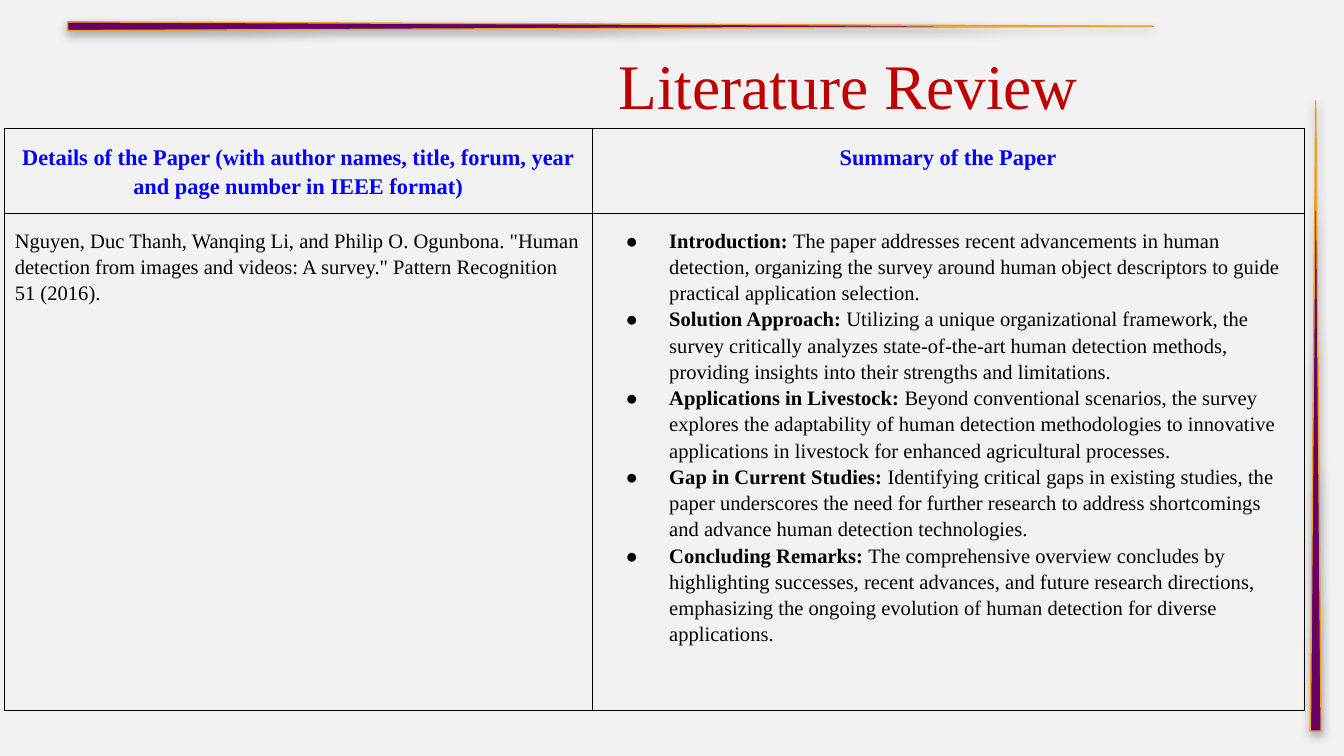
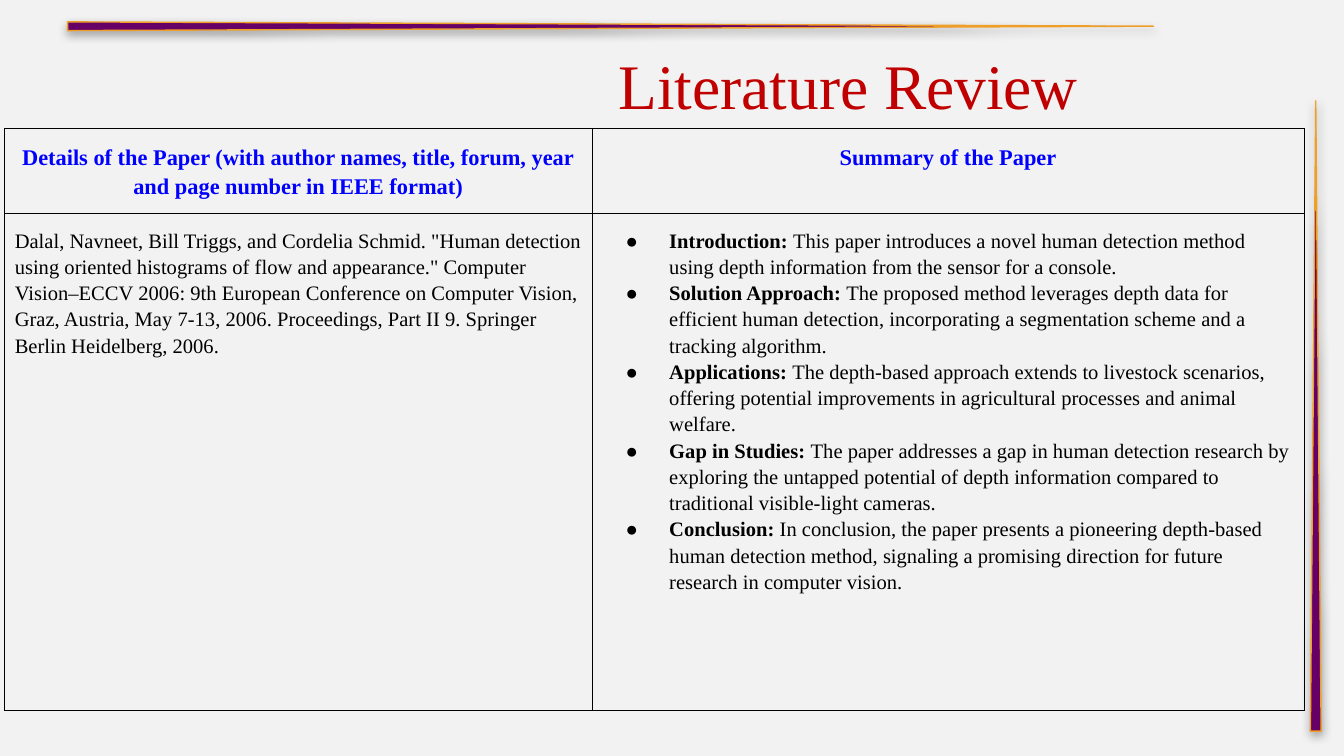
from lxml.etree import SubElement
from pptx import Presentation
from pptx.dml.color import RGBColor
from pptx.enum.shapes import MSO_SHAPE as SHAPE
from pptx.enum.text import MSO_ANCHOR as ANCHOR, PP_ALIGN as ALIGN
from pptx.oxml import parse_xml
from pptx.oxml.ns import nsdecls, qn
from pptx.util import Pt

PX = 4572
FONT = "Times New Roman"
PAPER, PURPLE, GOLD = "F2F2F2", "660066", "EF9F28"
RED, BLUE, BLACK = "C00000", "0000FF", "000000"
HEADINGS = [
    "Details of the Paper (with author names, title, forum, year and page number in IEEE format)",
    "Summary of the Paper",
]
REVIEWS = [
    (
        'Nguyen, Duc Thanh, Wanqing Li, and Philip O. Ogunbona. "Human detection from images '
        'and videos: A survey." Pattern Recognition 51 (2016).',
        [
            ("Introduction: ", "The paper addresses recent advancements in human detection, organizing "
             "the survey around human object descriptors to guide practical application selection."),
            ("Solution Approach: ", "Utilizing a unique organizational framework, the survey critically "
             "analyzes state-of-the-art human detection methods, providing insights into their strengths "
             "and limitations."),
            ("Applications in Livestock: ", "Beyond conventional scenarios, the survey explores the "
             "adaptability of human detection methodologies to innovative applications in livestock for "
             "enhanced agricultural processes."),
            ("Gap in Current Studies: ", "Identifying critical gaps in existing studies, the paper "
             "underscores the need for further research to address shortcomings and advance human "
             "detection technologies."),
            ("Concluding Remarks: ", "The comprehensive overview concludes by highlighting successes, "
             "recent advances, and future research directions, emphasizing the ongoing evolution of "
             "human detection for diverse applications."),
        ],
    ),
    (
        'Dalal, Navneet, Bill Triggs, and Cordelia Schmid. "Human detection using oriented histograms '
        'of flow and appearance." Computer Vision–ECCV 2006: 9th European Conference on Computer '
        "Vision, Graz, Austria, May 7-13, 2006. Proceedings, Part II 9. Springer Berlin Heidelberg, 2006.",
        [
            ("Introduction: ", "This paper introduces a novel human detection method using depth "
             "information from the sensor for a console."),
            ("Solution Approach: ", "The proposed method leverages depth data for efficient human "
             "detection, incorporating a segmentation scheme and a tracking algorithm."),
            ("Applications: ", "The depth-based approach extends to livestock scenarios, offering "
             "potential improvements in agricultural processes and animal welfare."),
            ("Gap in Studies: ", "The paper addresses a gap in human detection research by exploring the "
             "untapped potential of depth information compared to traditional visible-light cameras."),
            ("Conclusion: ", "In conclusion, the paper presents a pioneering depth-based human detection "
             "method, signaling a promising direction for future research in computer vision."),
        ],
    ),
]


def px(*lengths):
    """Turn px lengths into EMU."""
    return [n * PX for n in lengths]


def rgb(code):
    """Return the colour of a hex string."""
    return RGBColor.from_string(code)


def write(p, text, size=11, color=BLACK, bold=False):
    """Add a formatted run to a paragraph."""
    r = p.add_run()
    r.text = text
    r.font.name, r.font.size, r.font.bold = FONT, Pt(size), bold
    r.font.color.rgb = rgb(color)


def indent(p, left, first=0):
    """Set the left and first-line indents of a paragraph."""
    pPr = p._p.get_or_add_pPr()
    pPr.set("marL", str(left * PX))
    pPr.set("indent", str(first * PX))
    return pPr


def add_bullet(p):
    """Give a paragraph a round hanging bullet."""
    pPr = indent(p, 100, -65)
    SubElement(SubElement(pPr, qn("a:buClr")), qn("a:srgbClr"), val=BLACK)
    SubElement(pPr, qn("a:buFont"), typeface=FONT)
    SubElement(pPr, qn("a:buChar"), char="●")


def add_spike(s, x, y, w, h, rotation=0):
    """Draw a tapering band with a soft shadow below it."""
    sp = s.shapes.add_shape(SHAPE.FLOWCHART_EXTRACT, *px(x, y, w, h))
    sp.rotation = rotation
    sp.fill.solid()
    sp.fill.fore_color.rgb = rgb(PURPLE)
    sp.line.color.rgb = rgb(GOLD)
    sp.line.width = Pt(0.75)
    sp._element.spPr.append(parse_xml(
        f'<a:effectLst {nsdecls("a")}><a:outerShdw blurRad="{Pt(5)}" dist="{Pt(1.8)}" '
        f'dir="5400000" rotWithShape="0"><a:srgbClr val="{BLACK}"><a:alpha val="35000"/>'
        "</a:srgbClr></a:outerShdw></a:effectLst>"
    ))


def add_title(s, text):
    """Place the slide title."""
    tf = s.shapes.add_textbox(*px(101, 59, 1800, 132)).text_frame
    tf.word_wrap = True
    tf.vertical_anchor = ANCHOR.MIDDLE
    p = tf.paragraphs[0]
    indent(p, 800)
    write(p, text, size=34, color=RED)


def style_cell(cell, bottom):
    """Clear a cell's fill and set its margins and borders."""
    cell.fill.background()
    cell.margin_left, cell.margin_top, cell.margin_right, cell.margin_bottom = px(15, 20, 15, bottom)
    tcPr = cell._tc.get_or_add_tcPr()
    for i, side in enumerate("LRTB"):
        tcPr.insert(i, parse_xml(
            f'<a:ln{side} {nsdecls("a")} w="{Pt(0.6)}"><a:solidFill>'
            f'<a:srgbClr val="{BLACK}"/></a:solidFill></a:ln{side}>'
        ))


def add_review(s, citation, points):
    """Add the table of a paper's details and its summary."""
    table = s.shapes.add_table(2, 2, *px(7, 191, 1934, 860)).table
    table.first_row = table.horz_banding = False
    for col, width in zip(table.columns, px(874, 1060)):
        col.width = width
    for row, height, bottom in zip(table.rows, px(120, 740), (14, 20)):
        row.height = height
        for cell in row.cells:
            style_cell(cell, bottom)
    for i, heading in enumerate(HEADINGS):
        p = table.cell(0, i).text_frame.paragraphs[0]
        p.alignment, p.line_spacing = ALIGN.CENTER, 1.15
        write(p, heading, size=12, color=BLUE, bold=True)
    p = table.cell(1, 0).text_frame.paragraphs[0]
    p.line_spacing = 1.15
    write(p, citation)
    tf = table.cell(1, 1).text_frame
    for i, (label, text) in enumerate(points):
        p = tf.add_paragraph() if i else tf.paragraphs[0]
        p.line_spacing = 1.15
        add_bullet(p)
        write(p, label, bold=True)
        write(p, text)


def add_slide(prs):
    """Add a blank slide with the shared background and bands."""
    s = prs.slides.add_slide(prs.slide_layouts[6])
    s.background.fill.solid()
    s.background.fill.fore_color.rgb = rgb(PAPER)
    add_spike(s, 1950, 150, 16, 938)
    add_spike(s, 902, -769, 13, 1616, rotation=90)
    return s


def main():
    """Build and save the literature review slides."""
    prs = Presentation()
    prs.slide_width, prs.slide_height = px(2000, 1125)
    for citation, points in REVIEWS:
        s = add_slide(prs)
        add_title(s, "Literature Review")
        add_review(s, citation, points)
    prs.save("out.pptx")


if __name__ == "__main__":
    main()
